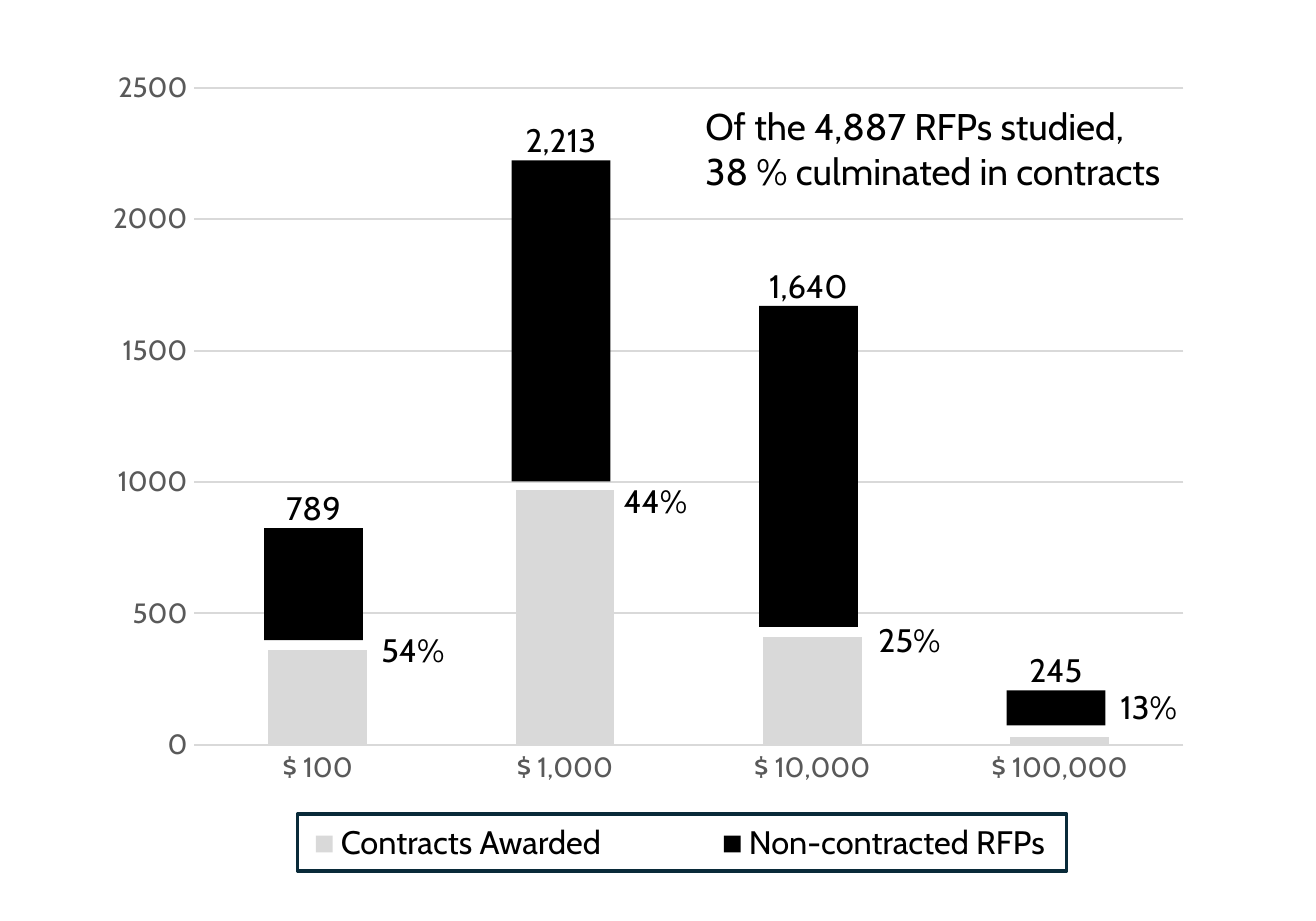
from lxml import etree
from pptx import Presentation
from pptx.chart import data
from pptx.dml import color
from pptx.enum import chart as kinds, shapes, text
from pptx.oxml import ns
from pptx.util import Inches, Pt

FONT = "Cabin"
BLACK, LIGHT, GRAY, NAVY = "000000", "D9D9D9", "595959", "092A39"
BANDS = [
    ("$ 100", 360, "789", 2.82, 0.67, "54%", 0.56, 3.38),
    ("$ 1,000", 970, "2,213", 0.62, 1.92, "44%", 0.53, 2.49),
    ("$ 10,000", 410, "1,640", 1.49, 1.92, "25%", 0.57, 3.32),
    ("$ 100,000", 30, "245", 3.79, 0.21, "13%", 0.52, 3.72),
]


def rgb(code):
    return color.RGBColor.from_string(code)


def style(font, size, code):
    font.name, font.size = FONT, Pt(size)
    font.color.rgb = rgb(code)


def rect(parts, x, y, w, h, fill=None, edge=None):
    box = parts.add_shape(
        shapes.MSO_SHAPE.RECTANGLE, Inches(x), Inches(y), Inches(w), Inches(h))
    box.shadow.inherit = False
    if fill:
        box.fill.solid()
        box.fill.fore_color.rgb = rgb(fill)
    else:
        box.fill.background()
    if edge:
        box.line.color.rgb = rgb(edge)
        box.line.width = Pt(1.5)
    else:
        box.line.fill.background()


def label(parts, x, y, w, h, words, size=14, align=text.PP_ALIGN.LEFT):
    box = parts.add_textbox(Inches(x), Inches(y), Inches(w), Inches(h))
    frame = box.text_frame
    frame.word_wrap = False
    frame.text = words
    for line in frame.paragraphs:
        line.alignment = align
        for run in line.runs:
            style(run.font, size, BLACK)


def place(plot, **sides):
    area = plot._chartSpace.chart.plotArea
    for old in area.findall(ns.qn("c:layout")):
        area.remove(old)
    layout = etree.Element(ns.qn("c:layout"))
    area.insert(0, layout)
    manual = etree.SubElement(layout, ns.qn("c:manualLayout"))
    marks = {"layoutTarget": "inner", "xMode": "edge", "yMode": "edge", **sides}
    for tag, val in marks.items():
        etree.SubElement(manual, ns.qn("c:" + tag)).set("val", str(val))


def draw_chart(parts, x, y, w, h):
    table = data.CategoryChartData()
    table.categories = [band[0] for band in BANDS]
    table.add_series("Contracts Awarded", [band[1] for band in BANDS])
    plot = parts.add_chart(
        kinds.XL_CHART_TYPE.COLUMN_STACKED,
        Inches(x), Inches(y), Inches(w), Inches(h), table).chart
    plot.has_legend = plot.has_title = False
    style(plot.font, 10, BLACK)
    place(plot, x=0.093, y=0.042, w=0.887, h=0.885)

    bars = plot.plots[0]
    bars.gap_width, bars.overlap = 150, 100
    bars.vary_by_categories = False
    fill = bars.series[0].format.fill
    fill.solid()
    fill.fore_color.rgb = rgb(LIGHT)

    cats, vals = plot.category_axis, plot.value_axis
    for axis in (cats, vals):
        axis.major_tick_mark = axis.minor_tick_mark = kinds.XL_TICK_MARK.NONE
        style(axis.tick_labels.font, 12, GRAY)
    vals.minimum_scale, vals.maximum_scale, vals.major_unit = 0, 2500, 500
    vals.format.line.fill.background()
    vals.has_major_gridlines = True
    for line in (cats.format.line, vals.major_gridlines.format.line):
        line.color.rgb = rgb(LIGHT)
        line.width = Pt(0.75)


def draw_bars(parts, x, y, step, wide):
    mid = text.PP_ALIGN.CENTER
    for i, (_, _, total, top, tall, share, dx, dy) in enumerate(BANDS):
        left = x + i * step
        rect(parts, left, y + top, wide, tall, BLACK)
        label(parts, left - 0.04, y + top - 0.29, wide + 0.08, 0.34, total, align=mid)
        label(parts, left + dx, y + dy, 0.66, 0.34, share, align=mid)


def draw_key(parts, x, y, w, h):
    group = parts.add_group_shape().shapes
    for dx, wide, words, code in (
            (0.11, 2.4, "Contracts Awarded", LIGHT),
            (2.55, 2.08, "Non-contracted RFPs", BLACK)):
        label(group, x + dx + 0.05, y, wide, h, words)
        rect(group, x + dx, y + 0.13, 0.1, 0.1, code)
    rect(group, x, y, w, h, edge=NAVY)


def main():
    deck = Presentation()
    deck.slide_width, deck.slide_height = Inches(7.87), Inches(5.51)
    parts = deck.slides.add_slide(deck.slide_layouts[6]).shapes
    draw_chart(parts, 0.54, 0.34, 6.67, 4.44)
    draw_bars(parts, 1.58, 0.34, 1.48, 0.59)
    label(parts, 4.12, 0.57, 3.03, 0.64,
          "Of the 4,887 RFPs studied, \v38 % culminated in contracts", 16)
    draw_key(parts, 1.78, 4.87, 4.6, 0.34)
    deck.save("out.pptx")


if __name__ == "__main__":
    main()
